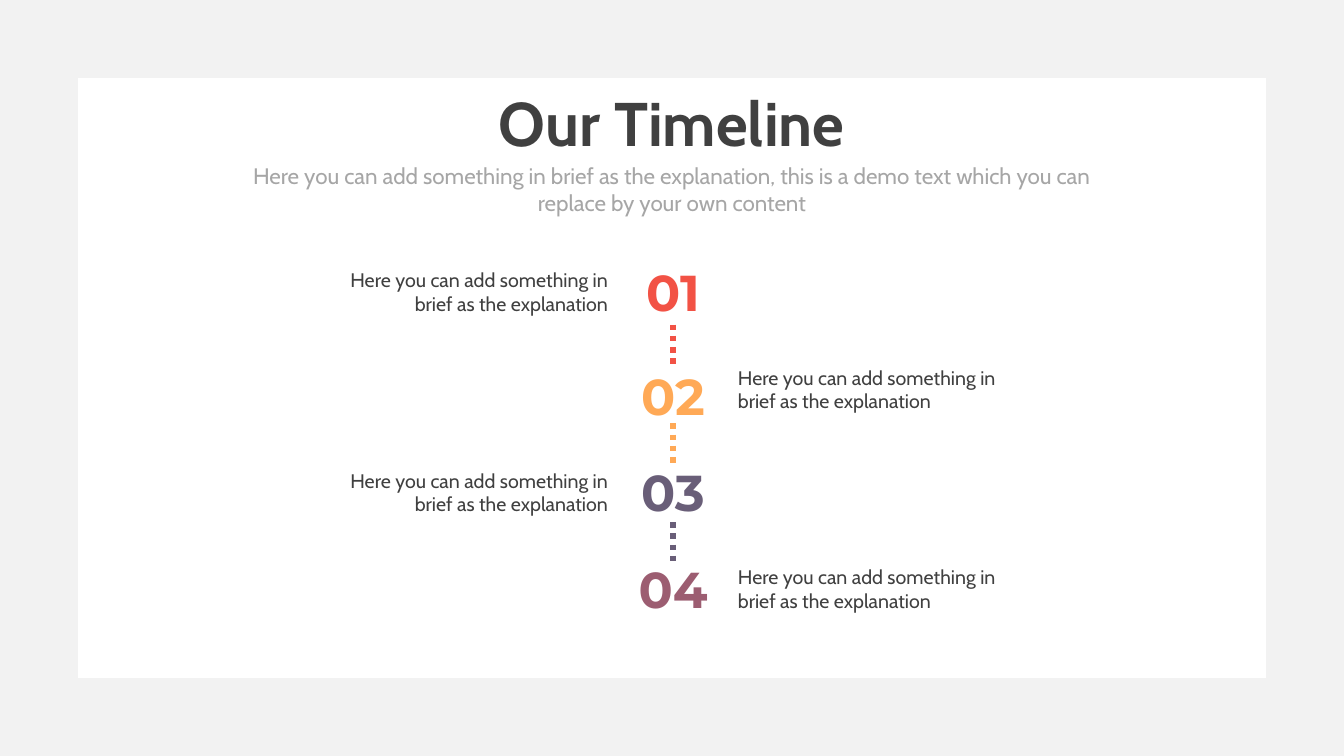
from pptx import Presentation
from pptx.dml.color import RGBColor
from pptx.enum.dml import MSO_LINE
from pptx.enum.shapes import MSO_CONNECTOR, MSO_SHAPE
from pptx.enum.text import MSO_ANCHOR, MSO_AUTO_SIZE, PP_ALIGN
from pptx.oxml.ns import qn
from pptx.util import Inches, Pt
from lxml import etree

DOTS = MSO_LINE.ROUND_DOT
LINE = MSO_CONNECTOR.STRAIGHT
FRAME = MSO_SHAPE.FRAME
TOP = MSO_ANCHOR.TOP
FIXED = MSO_AUTO_SIZE.NONE
LEFT, MID, RIGHT = PP_ALIGN.LEFT, PP_ALIGN.CENTER, PP_ALIGN.RIGHT

RED = RGBColor(0xF2, 0x52, 0x45)
ORANGE = RGBColor(0xFF, 0xA9, 0x56)
SLATE = RGBColor(0x69, 0x5E, 0x78)
PLUM = RGBColor(0x9C, 0x5D, 0x71)
DARK = RGBColor(0x40, 0x40, 0x40)
GREY = RGBColor(0xA6, 0xA6, 0xA6)
PALE = RGBColor(0xF2, 0xF2, 0xF2)

WIDE, HIGH = 13.33, 7.5
NOTE = "Here you can add something in brief as the explanation"
INTRO = [
    "Here you can add something in brief as the explanation, "
    "this is a demo text which you can",
    "replace by your own content",
]
STEPS = [
    ("01", RED, 0, 0.07),
    ("02", ORANGE, 1.03, 1.04),
    ("03", SLATE, 1.99, 2.06),
    ("04", PLUM, 2.95, 3.02),
]


def place(shape, left, top, width, height):
    shape.left, shape.top = Inches(left), Inches(top)
    shape.width, shape.height = Inches(width), Inches(height)


def write(shape, lines, size, color, align, font="Cabin", bold=False):
    frame = shape.text_frame
    frame.word_wrap = True
    frame.auto_size = FIXED
    frame.vertical_anchor = TOP
    for i, line in enumerate(lines):
        para = frame.add_paragraph() if i else frame.paragraphs[0]
        para.alignment = align
        para.space_before = Pt(0)
        run = para.add_run()
        run.text = line
        run.font.name = font
        run.font.size = Pt(size)
        run.font.bold = bold
        run.font.color.rgb = color


def add_text(slide, box, *args, **style):
    shape = slide.shapes.add_textbox(*map(Inches, box))
    write(shape, *args, **style)


def add_frame(slide, left, top, width, height):
    box = map(Inches, (left, top, width, height))
    frame = slide.shapes.add_shape(FRAME, *box)
    frame.adjustments[0] = 0.103
    frame.shadow.inherit = False
    frame.fill.solid()
    frame.fill.fore_color.rgb = PALE
    frame.line.fill.background()
    tree = frame.element.getparent()
    tree.insert(2, frame.element)


def add_head(slide, left, top, width, height):
    title, intro = slide.shapes.title, slide.placeholders[1]
    span = 4.8
    place(title, left + (width - span) / 2, top, span, 0.84)
    write(title, ["Our Timeline"], 44, DARK, MID, bold=True)
    place(intro, left, top + 0.77, width, height - 0.77)
    write(intro, INTRO, 16, GREY, MID)


def add_dots(slide, x, top, color):
    ends = map(Inches, (x, top, x, top + 0.4))
    line = slide.shapes.add_connector(LINE, *ends)
    line.line.color.rgb = color
    line.line.width = Pt(4)
    line.line.dash_style = DOTS
    etree.SubElement(line.element.spPr, qn("a:effectLst"))


def add_steps(slide, left, top, width, height):
    side, core = 2.88, 1.1
    mid = left + width / 2
    for i, (mark, color, drop, shift) in enumerate(STEPS):
        add_text(slide, (mid - core / 2, top + drop, core, 0.71),
                 [mark], 36, color, MID, font="Montserrat", bold=True)
        odd = i % 2
        x = left + width - side if odd else left
        add_text(slide, (x, top + shift, side, 0.57),
                 [NOTE], 14, DARK, LEFT if odd else RIGHT)
        if i < len(STEPS) - 1:
            add_dots(slide, mid, top + 0.68 + i * 0.98, color)


def main():
    deck = Presentation()
    deck.slide_width, deck.slide_height = Inches(WIDE), Inches(HIGH)
    slide = deck.slides.add_slide(deck.slide_layouts[0])
    add_frame(slide, 0, 0, WIDE, HIGH)
    add_head(slide, 2.41, 0.79, 8.51, 1.41)
    add_steps(slide, 3.25, 2.54, 6.85, 3.66)
    deck.save("out.pptx")


main()
